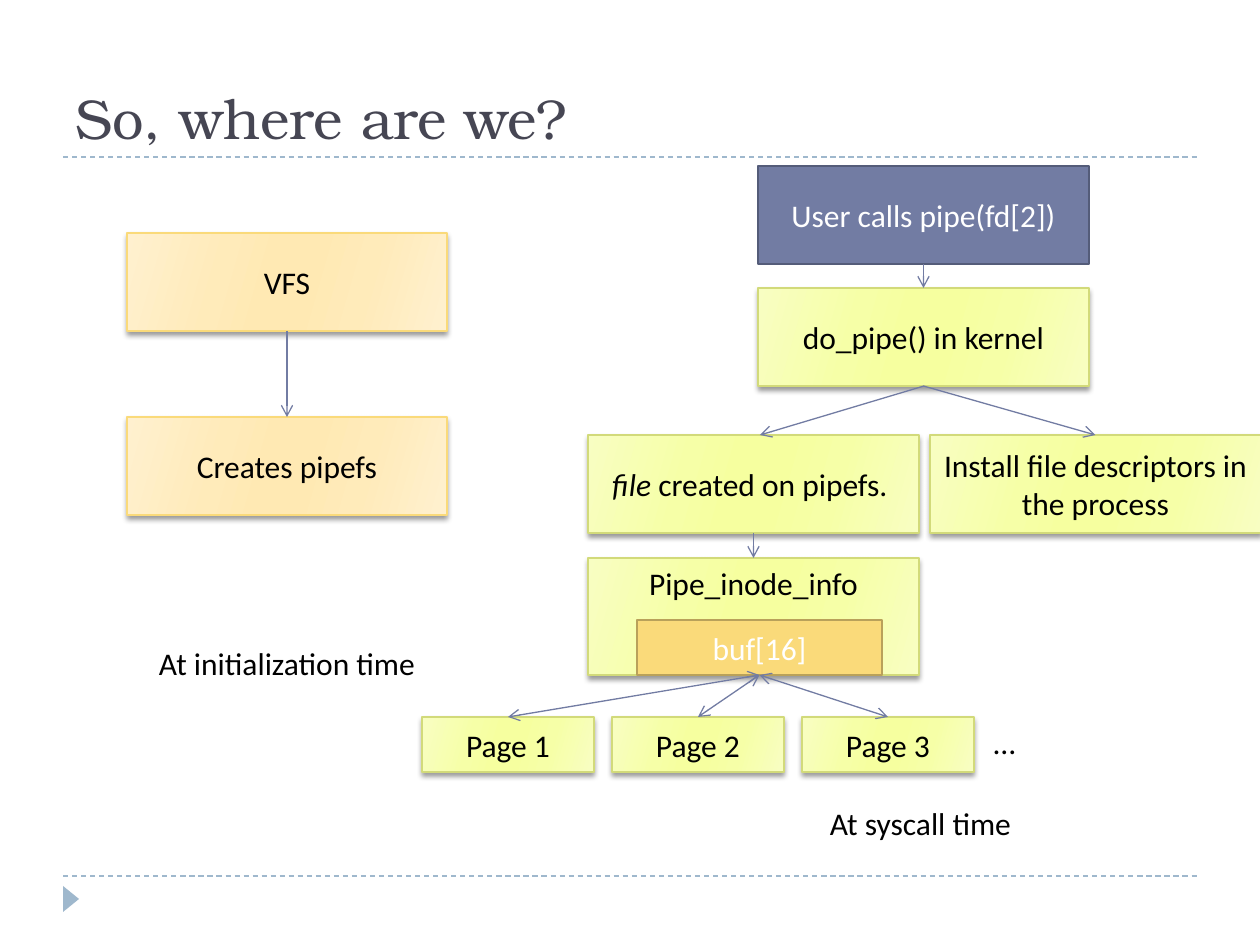
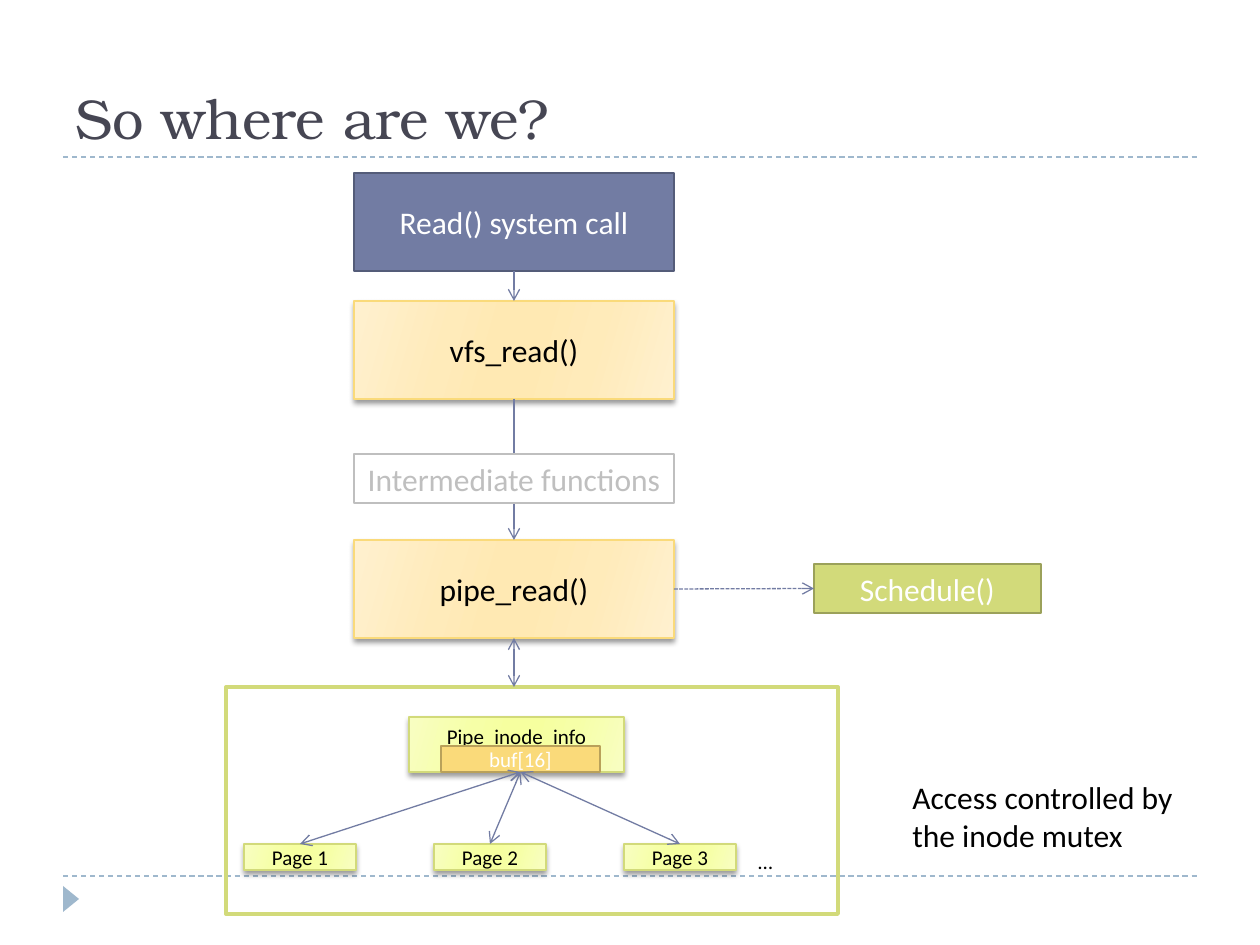
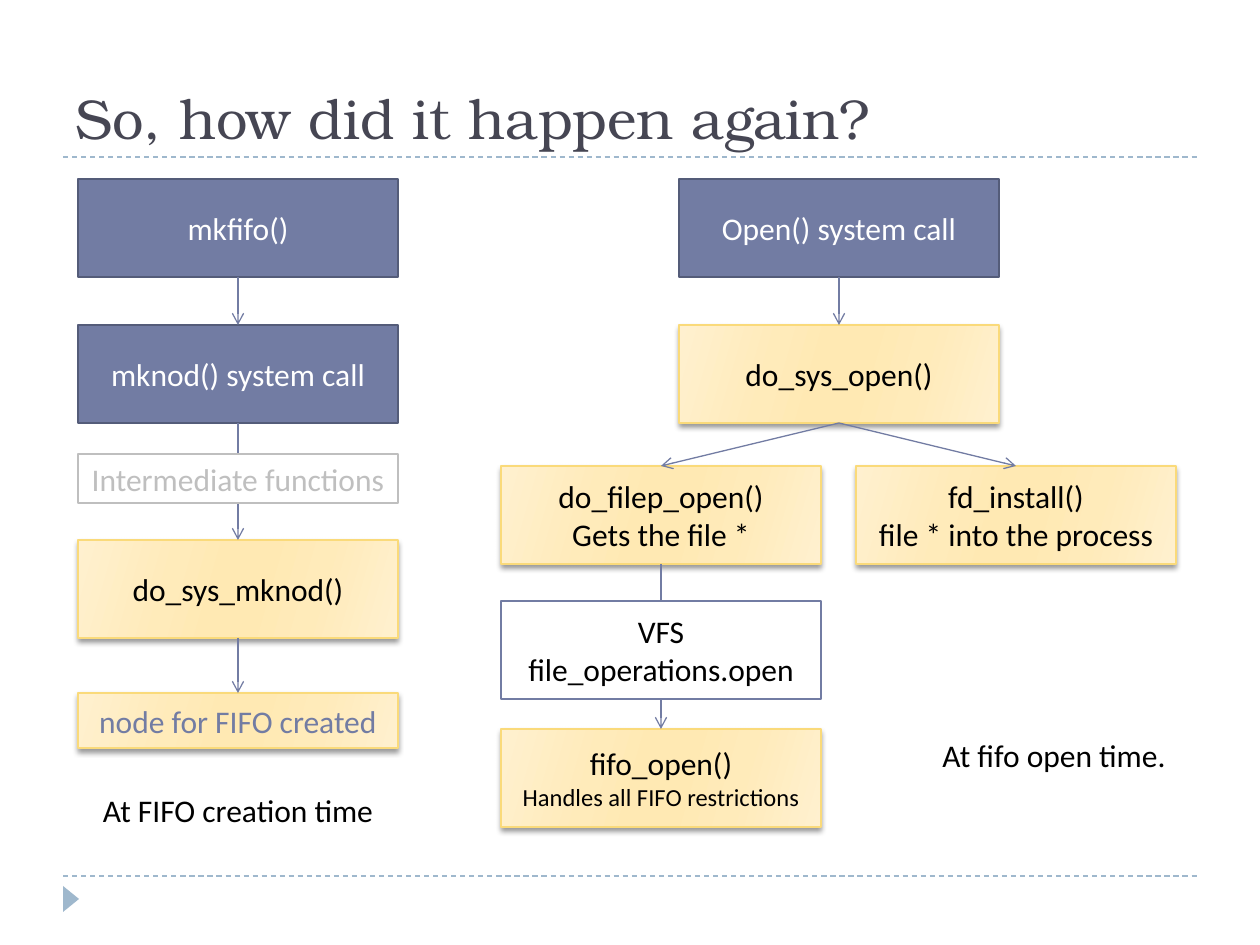
import pptx
import pptx.util
import pptx.dml.color
import pptx.enum.dml
import pptx.enum.shapes
import pptx.enum.text
import pptx.oxml
import pptx.oxml.ns
from lxml import etree

SCALE = 914400 / 126  # EMU per pixel
RECT = pptx.enum.shapes.MSO_SHAPE.RECTANGLE
ALIGN = pptx.enum.text.PP_ALIGN
ANCHOR = pptx.enum.text.MSO_ANCHOR
DASH = pptx.enum.dml.MSO_LINE
TOP, LEFT, BOTTOM, RIGHT = range(4)  # connection sites of a rectangle

INK, WHITE, BLUE, GREY, BAND = "000000", "FFFFFF", "727CA3", "BFBFBF", "9FB8CD"
CREAM = ("FFF0CF", "FFEBBA", "FFE9B3")
LIME = ("F8FEC2", "F6FFA7", "F6FF9F")

# Box styles: fill (one colour, or edge/inner/centre of a gradient), line, width, text
STYLES = {
    "cream": (CREAM, "FADA7A", 0.75, INK),
    "lime": (LIME, "D2DA7A", 0.75, INK),
    "user": (BLUE, "545C79", 1.5, WHITE),
    "buffer": ("FADA7A", "B9A15A", 1.5, WHITE),
    "green": ("D2DA7A", "9BA15A", 1.5, WHITE),
    "skipped": (WHITE, GREY, 1.5, GREY),
    "outline": (WHITE, BLUE, 1.5, INK),
    "frame": (None, "D2DA7A", 2.25, INK),
}


def px(*values):
    return [pptx.util.Emu(round(v * SCALE)) for v in values]


def rgb(value):
    return pptx.dml.color.RGBColor.from_string(value)


def qn(tag):
    return pptx.oxml.ns.qn(tag)


class Deck:
    def __init__(self):
        self.prs = pptx.Presentation()
        self.prs.slide_width, self.prs.slide_height = px(1260, 945)
        self.s = None

    def slide(self, title):
        self.s = self.prs.slides.add_slide(self.prs.slide_layouts[5])
        # Dashed bands and the corner marker
        for y in (876, 157):
            self.line(63, y, 1197, y, BAND, DASH.DASH, tail=False)
        marker = self.s.shapes.add_shape(
            pptx.enum.shapes.MSO_SHAPE.ISOSCELES_TRIANGLE, *px(58, 891, 26, 16))
        marker.rotation = 90
        marker.shadow.inherit = False
        marker.fill.solid()
        marker.fill.fore_color.rgb = rgb(BAND)
        marker.line.fill.background()
        # Title
        sp = self.s.shapes.title
        sp.left, sp.top, sp.width, sp.height = px(63, 21, 1134, 136)
        self.set_text(sp, title, 32, "464653", ALIGN.LEFT, ANCHOR.BOTTOM, "TeX Gyre Bonum")

    def set_text(self, sp, text, size, color, align, anchor, font="Calibri", lead=""):
        """Set the text; lead is an italic start of the first paragraph."""
        tf = sp.text_frame
        tf.text = text
        tf.word_wrap = True
        tf.auto_size = pptx.enum.text.MSO_AUTO_SIZE.NONE
        tf.vertical_anchor = anchor
        if lead:
            p = tf.paragraphs[0]
            p.text = lead
            p.add_run().text = text
            p.runs[0].font.italic = True
        for p in tf.paragraphs:
            p.alignment = align
            for r in p.runs:
                r.font.name = font
                r.font.size = pptx.util.Pt(size)
                r.font.color.rgb = rgb(color)

    def box(self, style, x, y, w, h, text="", size=18, color=None,
            anchor=ANCHOR.MIDDLE, lead=""):
        fill, line, width, ink = STYLES[style]
        sp = self.s.shapes.add_shape(RECT, *px(x, y, w, h))
        sp.shadow.inherit = False
        if fill is None:
            sp.fill.background()
        elif isinstance(fill, str):
            sp.fill.solid()
            sp.fill.fore_color.rgb = rgb(fill)
        else:
            self.glow(sp, *fill)
        sp.line.color.rgb = rgb(line)
        sp.line.width = pptx.util.Pt(width)
        if text:
            self.set_text(sp, text, size, color or ink, ALIGN.CENTER, anchor, lead=lead)
        return sp

    def glow(self, sp, edge, inner, centre):
        """Symmetric gradient with a soft shadow below."""
        sp.fill.gradient()
        grad = sp._element.spPr.find(qn("a:gradFill"))
        stops = grad.find(qn("a:gsLst"))
        for gs in list(stops):
            stops.remove(gs)
        for pos, color in zip((0, 30, 45, 55, 73, 100),
                              (edge, inner, centre, centre, inner, edge)):
            gs = etree.SubElement(stops, qn("a:gs"), pos=str(pos * 1000))
            etree.SubElement(gs, qn("a:srgbClr"), val=color)
        grad.find(qn("a:lin")).set("ang", str(16 * 60000))
        effects = sp._element.spPr.find(qn("a:effectLst"))
        shadow = etree.SubElement(effects, qn("a:outerShdw"), blurRad="38100",
                                  dist="25400", dir="5400000", rotWithShape="0")
        clr = etree.SubElement(shadow, qn("a:srgbClr"), val=INK)
        etree.SubElement(clr, qn("a:alpha"), val="40000")

    def label(self, x, y, w, h, text, size=18, align=ALIGN.LEFT):
        sp = self.s.shapes.add_textbox(*px(x, y, w, h))
        self.set_text(sp, text, size, INK, align, ANCHOR.TOP)
        sp.text_frame.auto_size = pptx.enum.text.MSO_AUTO_SIZE.SHAPE_TO_FIT_TEXT

    def line(self, x1, y1, x2, y2, color=BLUE, dash=None, head=False, tail=True):
        c = self.s.shapes.add_connector(
            pptx.enum.shapes.MSO_CONNECTOR.STRAIGHT, *px(x1, y1, x2, y2))
        c.line.color.rgb = rgb(color)
        c.line.width = pptx.util.Pt(0.75)
        if dash:
            c.line.dash_style = dash
        ln = c._element.spPr.find(qn("a:ln"))
        for end, shown in (("a:headEnd", head), ("a:tailEnd", tail)):
            if shown:
                etree.SubElement(ln, qn(end), type="arrow")
        etree.SubElement(c._element.spPr, qn("a:effectLst"))
        return c

    def link(self, a, b, sites=(BOTTOM, TOP), **style):
        c = self.line(0, 0, 1, 1, **style)
        c.begin_connect(a, sites[0])
        c.end_connect(b, sites[1])

    def pages(self, buf, x, y, w, h, size):
        """Three pages 190 apart, each tied to the buffer."""
        for i in range(3):
            page = self.box("lime", x + 190 * i, y, w, h, f"Page {i + 1}", size)
            self.link(buf, page, head=True)


d = Deck()
W, H = 320, 98  # usual box

# Slide 1: pipe creation
d.slide("So, where are we?")
vfs = d.box("cream", 127, 233, W, H, "VFS")
pipefs = d.box("cream", 127, 417, W, H, "Creates pipefs")
d.link(vfs, pipefs)
d.label(127, 638, W, 50, "At initialization time", align=ALIGN.CENTER)

WIDE = 331
user = d.box("user", 758, 166, WIDE, H, "User calls pipe(fd[2])")
kernel = d.box("lime", 758, 288, WIDE, H, "do_pipe() in kernel")
file_box = d.box("lime", 588, 435, WIDE, H, " created on pipefs. ", lead="file")
inode = d.box("lime", 588, 558, WIDE, 117, "Pipe_inode_info", anchor=ANCHOR.TOP)
buf = d.box("buffer", 637, 620, 245, 55, "buf[16]")
d.pages(buf, 422, 717, 172, 55, 18)
d.label(974, 717, 122, 50, " …")
d.label(758, 798, 325, 50, "At syscall time", align=ALIGN.CENTER)
install = d.box("lime", 930, 435, WIDE, H, "Install file descriptors in the process")
d.link(user, kernel)
d.line(924, 386, 760, 435)
d.link(kernel, install)
d.link(file_box, inode)

# Slide 2: reading
d.slide("So where are we?")
vfs_read = d.box("cream", 354, 301, W, H, "vfs_read()")
read = d.box("user", 354, 173, W, H, "Read() system call")
pipe_read = d.box("cream", 354, 540, W, H, "pipe_read()")
d.box("lime", 409, 717, 215, 55, "Pipe_inode_info", 12, anchor=ANCHOR.TOP)
buf = d.box("buffer", 441, 746, 159, 26, "buf[16]", 12)
d.pages(buf, 244, 844, 112, 26, 12)
d.label(741, 842, 79, 38, " …", 12)
d.box("frame", 226, 687, 612, 227)
d.label(900, 772, 312, 89, "Access controlled by the inode mutex")
schedule = d.box("green", 814, 564, 227, 49, "Schedule()")
d.link(read, vfs_read)
d.link(vfs_read, pipe_read)
d.box("skipped", 354, 454, W, 49, "Intermediate functions")
d.link(pipe_read, schedule, (RIGHT, LEFT), dash=DASH.SQUARE_DOT)
d.line(514, 638, 514, 687, head=True)

# Slide 3: FIFO creation
d.slide("So, how did it happen again?")
sys_mknod = d.box("cream", 78, 540, W, H, "do_sys_mknod()")
mkfifo = d.box("user", 78, 179, W, H, "mkfifo()")
mknod = d.box("user", 78, 325, W, H, "mknod() system call")
node = d.box("cream", 78, 693, W, 55, "node for FIFO created", color=BLUE)
d.link(mkfifo, mknod)
d.link(mknod, sys_mknod)
d.box("skipped", 78, 454, W, 49, "Intermediate functions")
d.link(sys_mknod, node)
d.label(78, 785, W, 50, "At FIFO creation time", align=ALIGN.CENTER)

# Slide 3: FIFO opening
open_call = d.box("user", 679, 179, W, H, "Open() system call")
sys_open = d.box("cream", 679, 325, W, H, "do_sys_open()")
filep = d.box("cream", 501, 466, W, H, "do_filep_open()\nGets the file *")
fd = d.box("cream", 856, 466, W, H, "fd_install()\nfile * into the process")
fifo = d.box("cream", 501, 729, W, H, "fifo_open()\nHandles all FIFO restrictions")
fifo.text_frame.paragraphs[1].runs[0].font.size = pptx.util.Pt(14)
for a, b in ((open_call, sys_open), (sys_open, filep), (sys_open, fd), (filep, fifo)):
    d.link(a, b)
d.box("outline", 501, 601, W, H, "VFS\nfile_operations.open")
d.label(930, 730, 267, 50, "At fifo open time.")

d.prs.save("out.pptx")
